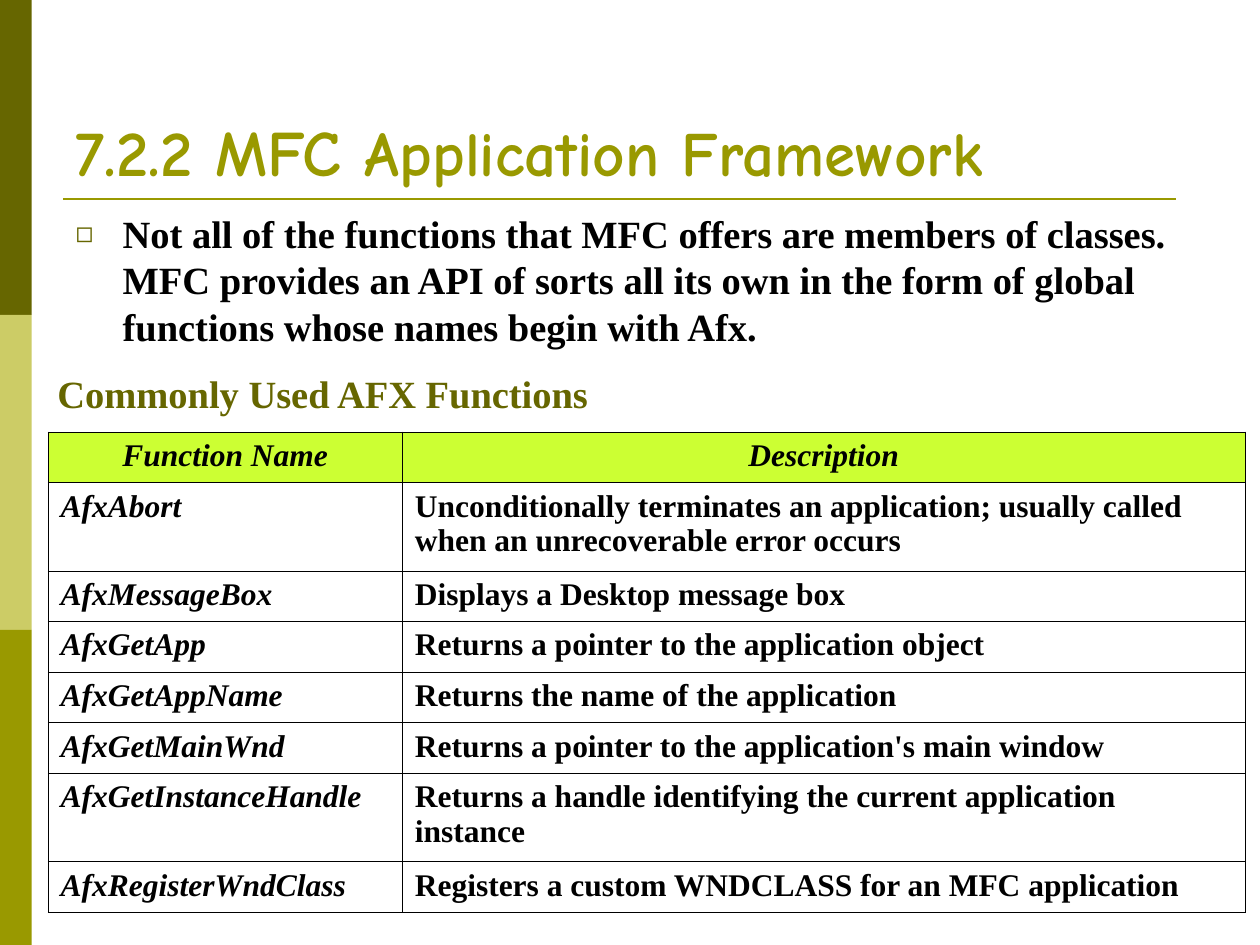
import pptx
import pptx.dml.color
import pptx.enum.shapes
import pptx.enum.text
import pptx.oxml
import pptx.oxml.ns
import pptx.util
from pptx.util import Cm

SERIF = "Times New Roman"
ANCHOR = pptx.enum.text.MSO_ANCHOR
ALIGN = pptx.enum.text.PP_ALIGN
BANDS = ["666600", "CCCC66", "999900"]
ROWS = [
    ("Function Name", "Description"),
    ("AfxAbort", "Unconditionally terminates an application; usually called "
                 "when an unrecoverable error occurs"),
    ("AfxMessageBox", "Displays a Desktop message box"),
    ("AfxGetApp", "Returns a pointer to the application object"),
    ("AfxGetAppName", "Returns the name of the application"),
    ("AfxGetMainWnd", "Returns a pointer to the application's main window"),
    ("AfxGetInstanceHandle", "Returns a handle identifying the current application instance"),
    ("AfxRegisterWndClass", "Registers a custom WNDCLASS for an MFC application"),
]
TALL_ROWS = (1, 6)


def rgb(value):
    return pptx.dml.color.RGBColor.from_string(value)


def add_xml(parent, tag, body="", attrs=""):
    ns = pptx.oxml.ns.nsdecls("a")
    parent.append(pptx.oxml.parse_xml(f"<a:{tag} {ns} {attrs}>{body}</a:{tag}>"))


def set_attrs(obj, values):
    for name, value in values.items():
        setattr(obj, name, value)


def add_run(p, text, size, color, font=SERIF, italic=False):
    r = p.add_run()
    r.text = text
    set_attrs(r.font, {"name": font, "size": pptx.util.Pt(size), "bold": True, "italic": italic})
    r.font.color.rgb = rgb(color)


def place(s, left, top, width, height):
    set_attrs(s, {"left": Cm(left), "top": Cm(top), "width": Cm(width), "height": Cm(height)})


def add_bands(shapes):
    height = 19.05 / len(BANDS)
    for i, color in enumerate(BANDS):
        s = shapes.add_shape(pptx.enum.shapes.MSO_SHAPE.RECTANGLE,
                             Cm(0), Cm(i * height), Cm(0.64), Cm(height))
        s.shadow.inherit = False
        s.fill.solid()
        s.fill.fore_color.rgb = rgb(color)
        s.line.fill.background()


def add_rule(shapes):
    line = shapes.add_connector(pptx.enum.shapes.MSO_CONNECTOR.STRAIGHT,
                                Cm(1.27), Cm(4.01), Cm(23.7), Cm(4.01))
    line.line.color.rgb = rgb("999900")
    line.line.width = pptx.util.Pt(1.5)
    add_xml(line._element.spPr, "effectLst")


def fill_title(sp):
    place(sp, 1.27, 0.76, 22.86, 3.18)
    tf = sp.text_frame
    set_attrs(tf, {"vertical_anchor": ANCHOR.BOTTOM, "word_wrap": True,
                   "auto_size": pptx.enum.text.MSO_AUTO_SIZE.NONE})
    p = tf.paragraphs[0]
    p.alignment = ALIGN.LEFT
    add_run(p, "7.2.2 MFC ", 37, "999900", "Comic Neue")
    add_run(p, "Application Framework", 36, "999900", "Comic Neue")


def fill_body(sp):
    place(sp, 1.27, 4.11, 23.44, 3.07)
    tf = sp.text_frame
    set_attrs(tf, {"vertical_anchor": ANCHOR.TOP, "word_wrap": True,
                   "auto_size": pptx.enum.text.MSO_AUTO_SIZE.NONE})
    p = tf.paragraphs[0]
    pPr = p._p.get_or_add_pPr()
    set_attrs(p, {"space_before": pptx.util.Pt(0), "alignment": ALIGN.LEFT})
    pPr.set("marL", str(Cm(0.95)))
    pPr.set("indent", str(-Cm(0.95)))
    add_xml(pPr, "buClr", '<a:srgbClr val="666600"/>')
    add_xml(pPr, "buSzPct", attrs='val="75000"')
    add_xml(pPr, "buChar", attrs='char="◻"')
    add_run(p, "Not all of the functions that MFC offers are members of classes. "
               "MFC provides an API of sorts all its own in the form of global "
               "functions whose names begin with Afx.", 22, "000000")


def add_caption(shapes):
    tf = shapes.add_textbox(Cm(0.91), Cm(7.52), Cm(11.25), Cm(1.02)).text_frame
    tf.word_wrap = False
    p = tf.paragraphs[0]
    p.line_spacing = 0.8
    add_run(p, "Commonly Used AFX Functions", 22, "666600")


def fill_cell(cell, text, header, italic):
    cell.fill.solid()
    cell.fill.fore_color.rgb = rgb("CCFF33" if header else "FFFFFF")
    p = cell.text_frame.paragraphs[0]
    p.alignment = ALIGN.CENTER if header else ALIGN.LEFT
    add_run(p, text, 18, "000000", italic=italic)
    tcPr = cell._tc.get_or_add_tcPr()
    fill = tcPr[0]
    tcPr.remove(fill)
    for side in ("lnL", "lnR", "lnT", "lnB"):
        add_xml(tcPr, side, '<a:solidFill><a:srgbClr val="000000"/></a:solidFill>',
                f'w="{pptx.util.Pt(0.45)}"')
    tcPr.append(fill)


def add_functions_table(shapes):
    table = shapes.add_table(len(ROWS), 2, Cm(0.97), Cm(8.71), Cm(24.13), Cm(9.65)).table
    set_attrs(table, {"first_row": False, "horz_banding": False})
    for column, width in zip(table.columns, (7.14, 16.99)):
        column.width = Cm(width)
    for i, texts in enumerate(ROWS):
        table.rows[i].height = Cm(1.78 if i in TALL_ROWS else 1.02)
        for j, text in enumerate(texts):
            fill_cell(table.cell(i, j), text, i == 0, i == 0 or j == 0)


def main():
    prs = pptx.Presentation()
    set_attrs(prs, {"slide_width": Cm(25.4), "slide_height": Cm(19.05)})
    slide = prs.slides.add_slide(prs.slide_layouts[1])
    add_bands(slide.shapes)
    add_rule(slide.shapes)
    fill_title(slide.shapes.title)
    fill_body(slide.placeholders[1])
    add_functions_table(slide.shapes)
    add_caption(slide.shapes)
    prs.save("out.pptx")


if __name__ == "__main__":
    main()
